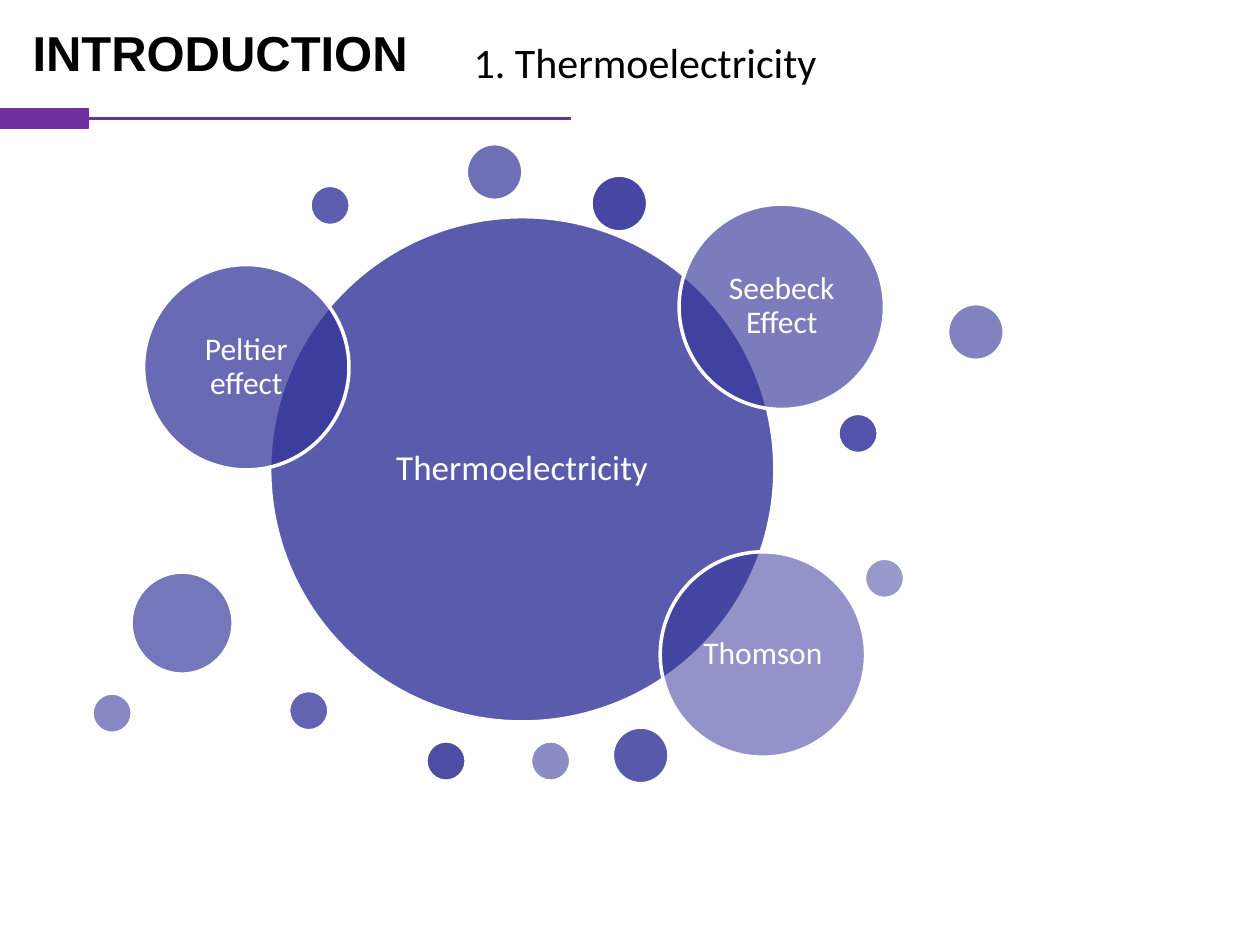
import math

import pptx
import pptx.dml.color
import pptx.enum.shapes
import pptx.enum.text
import pptx.oxml.ns
import pptx.util
from lxml import etree

RGB = pptx.dml.color.RGBColor
PURPLE = RGB(0x70, 0x30, 0xA0)
INDIGO = RGB(0x33, 0x33, 0x99)
WHITE = RGB(0xFF, 0xFF, 0xFF)
BLACK = RGB(0, 0, 0)
SHAPE = pptx.enum.shapes.MSO_SHAPE
COLUMNS = 100
CELL = pptx.util.Inches(10) // COLUMNS

MAIN, LARGE, DOT, MEDIUM, SMALL = 40.1, 16.3, 8.1, 4.5, 3.2
HUB = (14.1, 5.8, MAIN, "Thermoelectricity")
SATELLITES = [
    (39.6, 2.5, MEDIUM, ""),
    (26.5, 47.4, SMALL, ""),
    (59.2, 21.4, SMALL, ""),
    (41.3, 46.3, MEDIUM, ""),
    (17.3, 3.3, SMALL, ""),
    (15.6, 43.4, SMALL, ""),
    (4.1, 9.6, LARGE, "Peltier effect"),
    (29.7, 0, MEDIUM, ""),
    (3.1, 34, DOT, ""),
    (46.6, 4.8, LARGE, "Seebeck Effect"),
    (67.9, 12.7, MEDIUM, ""),
    (0, 43.6, SMALL, ""),
    (34.8, 47.4, SMALL, ""),
    (45.1, 32.4, LARGE, "Thomson"),
    (61.3, 32.9, SMALL, ""),
]


def cells(*values):
    """Convert grid cells to slide lengths."""
    return [round(v * CELL) for v in values]


def add_text(s, box, text, size, font, color, bold=False, wrap=True):
    """Add a one-paragraph text box and return its frame."""
    tf = s.shapes.add_textbox(*cells(*box)).text_frame
    tf.text = text
    tf.word_wrap = wrap
    f = tf.paragraphs[0].runs[0].font
    f.name, f.size, f.bold = font, pptx.util.Pt(size), bold
    f.color.rgb = color
    return tf


def add_solid(s, kind, box, fill, line, width):
    """Add a filled and outlined preset shape."""
    sp = s.shapes.add_shape(kind, *cells(*box))
    sp.shadow.inherit = False
    sp.fill.solid()
    sp.fill.fore_color.rgb = fill
    sp.line.color.rgb = line
    sp.line.width = pptx.util.Pt(width)
    return sp


def add_header(s, left, top, width, height):
    """Place the section title, topic and ruled accent bar."""
    title = add_text(s, (left + 1.6, top + 1.3, 32.1, 5.7), "INTRODUCTION",
                     28, "Arial", BLACK, bold=True, wrap=False)
    topic = add_text(s, (left + 36.6, top + 2.4, 31.5, 5),
                     "1. Thermoelectricity", 24, "Calibri", BLACK)
    for tf in (title, topic):
        tf.auto_size = pptx.enum.text.MSO_AUTO_SIZE.SHAPE_TO_FIT_TEXT
    bar_height = 1.6
    bar_top = top + height - bar_height
    bar = add_solid(s, SHAPE.RECTANGLE, (left, bar_top, 7, bar_height),
                    PURPLE, PURPLE, 0.75)
    y = bar_top + bar_height / 2
    rule = s.shapes.add_connector(
        pptx.enum.shapes.MSO_CONNECTOR.STRAIGHT,
        *cells(left + width, y, left + 7, y))
    rule.end_connect(bar, 3)
    rule.line.color.rgb = PURPLE
    rule.line.width = pptx.util.Pt(1.5)
    etree.SubElement(rule._element.spPr, pptx.oxml.ns.qn("a:effectLst"))


def add_circle(s, x, y, size, label, opacity):
    """Place a translucent circle with its label in the inscribed square."""
    sp = add_solid(s, SHAPE.OVAL, (x, y, size, size), INDIGO, WHITE, 2)
    color = sp._element.spPr.find(".//" + pptx.oxml.ns.qn("a:srgbClr"))
    etree.SubElement(color, pptx.oxml.ns.qn("a:alpha"),
                     val=str(round(opacity * 1000)))
    if not label:
        return
    side = size / math.sqrt(2)
    gap = (size - side) / 2
    points, inset = (20, 0.8) if size == MAIN else (18, 0.7)
    tf = add_text(s, (x + gap, y + gap, side, side), label, points,
                  "Calibri", WHITE)
    tf.vertical_anchor = pptx.enum.text.MSO_ANCHOR.MIDDLE
    (tf.margin_left, tf.margin_top,
     tf.margin_right, tf.margin_bottom) = cells(*[inset] * 4)
    p = tf.paragraphs[0]
    p.alignment = pptx.enum.text.PP_ALIGN.CENTER
    p.line_spacing = 0.9


def add_diagram(s, left, top):
    """Place the hub and its satellites, fading evenly from 90 to 50 percent."""
    step = (90 - 50) / (len(SATELLITES) - 1)
    fades = [80] + [90 - step * i for i in range(len(SATELLITES))]
    for (x, y, size, label), opacity in zip([HUB] + SATELLITES, fades):
        add_circle(s, left + x, top + y, size, label, opacity)


def main():
    """Build and save the slide."""
    prs = pptx.Presentation()
    prs.slide_width, prs.slide_height = cells(COLUMNS, 75)
    s = prs.slides.add_slide(prs.slide_layouts[6])
    add_header(s, 0, 0, 45.3, 10.2)
    add_diagram(s, 7.3, 11.4)
    prs.save("out.pptx")


if __name__ == "__main__":
    main()
